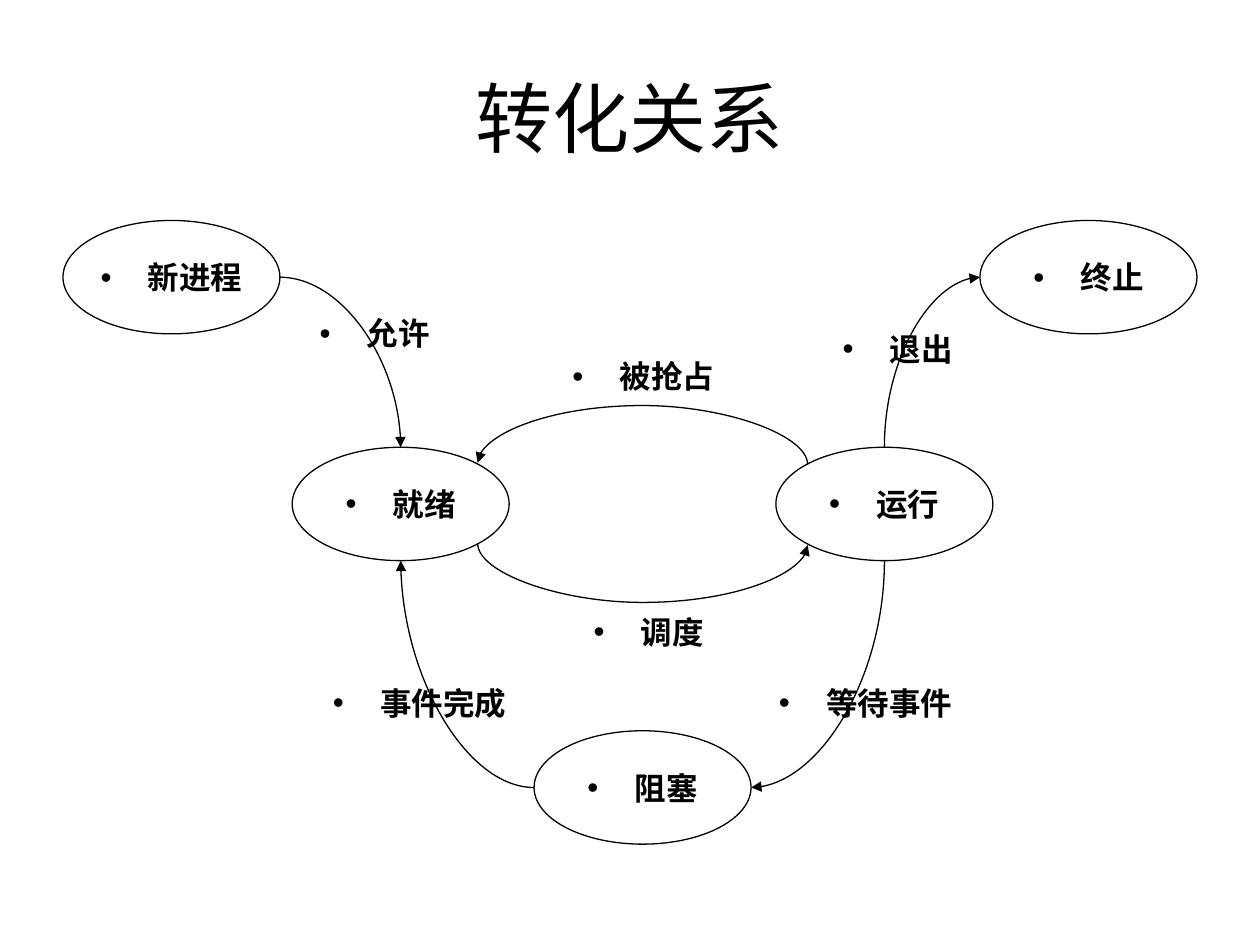
"""Build a slide showing the transitions between process states."""
from lxml import etree
from pptx import Presentation
from pptx.dml.color import RGBColor
from pptx.enum import shapes, text
from pptx.oxml import ns
from pptx.util import Pt

COLORS = {"ink": "000000"}
INK = RGBColor.from_string(COLORS["ink"])


def write(sp, words, size=18, bold=True, bullet=True, wrap=False):
    tf = sp.text_frame
    tf.word_wrap = wrap
    tf.vertical_anchor = text.MSO_ANCHOR.MIDDLE
    p = tf.paragraphs[0]
    p.alignment = text.PP_ALIGN.CENTER
    r = p.add_run()
    r.text = words
    r.font.name = "Arial"
    r.font.size = Pt(size)
    r.font.bold = bold
    r.font.color.rgb = INK
    if bullet:
        pPr = p._p.get_or_add_pPr()
        pPr.set("marL", str(Pt(27)))
        pPr.set("indent", str(-Pt(27)))
        etree.SubElement(pPr, ns.qn("a:buFont")).set("typeface", "Arial")
        etree.SubElement(pPr, ns.qn("a:buChar")).set("char", "•")


prs = Presentation()
prs.slide_width, prs.slide_height = Pt(720), Pt(540)
s = prs.slides.add_slide(prs.slide_layouts[6])

title = s.shapes.add_textbox(Pt(36), Pt(21.6), Pt(648), Pt(90))
write(title, "转化关系", size=44, bold=False, bullet=False, wrap=True)

STATE_W, STATE_H = 124, 64.8
states = [
    ("新进程", 98, 158.4),
    ("终止", 622, 158.4),
    ("就绪", 229, 288),
    ("运行", 505.4, 288),
    ("阻塞", 367.2, 450),
]
for name, cx, cy in states:
    sp = s.shapes.add_shape(shapes.MSO_SHAPE.OVAL, Pt(cx - STATE_W / 2), Pt(cy - STATE_H / 2),
                            Pt(STATE_W), Pt(STATE_H))
    sp.shadow.inherit = False
    sp.fill.background()
    sp.line.color.rgb = INK
    sp.line.width = Pt(0.75)
    write(sp, name)

BOW = 34
arrows = [
    (160, 158.4, 229, 255.6, 0, None),
    (461.5, 265, 272.9, 265, 270, "flipV"),
    (505.4, 255.6, 560, 158.4, 270, None),
    (272.9, 311, 461.5, 311, 270, "flipH"),
    (305.2, 450, 229, 320.4, 180, None),
    (505.4, 320.4, 429.2, 450, 90, None),
]
for x1, y1, x2, y2, turn, flip in arrows:
    w, h = abs(x2 - x1), max(abs(y2 - y1), 1)
    if turn in (90, 270):
        w, h = h, w
    cx, cy = (x1 + x2) / 2, (y1 + y2) / 2
    arrow = s.shapes.add_connector(shapes.MSO_CONNECTOR.CURVE, Pt(cx - w / 2), Pt(cy - h / 2),
                                   Pt(cx + w / 2), Pt(cy + h / 2))
    arrow.line.color.rgb = INK
    arrow.line.width = Pt(0.75)
    spPr = arrow._element.spPr
    xfrm = spPr.find(ns.qn("a:xfrm"))
    xfrm.set("rot", str(turn * 60000))
    geom = spPr.find(ns.qn("a:prstGeom"))
    if flip:
        xfrm.set(flip, "1")
        gd = etree.SubElement(geom.find(ns.qn("a:avLst")), ns.qn("a:gd"))
        gd.set("name", "adj1")
        gd.set("fmla", f"val {BOW * 100000}")
    else:
        geom.set("prst", "curvedConnector2")
    etree.SubElement(arrow.line._get_or_add_ln(), ns.qn("a:tailEnd")).set("type", "triangle")
    etree.SubElement(spPr, ns.qn("a:effectLst"))

LABEL_W, LABEL_H = 116.6, 32.4
labels = [
    ("允许", 214.2, 190.4),
    ("被抢占", 367.6, 214.9),
    ("退出", 513, 199.1),
    ("调度", 370.7, 361.1),
    ("事件完成", 239.7, 401.4),
    ("等待事件", 494.6, 401.4),
]
for name, cx, cy in labels:
    label = s.shapes.add_textbox(Pt(cx - LABEL_W / 2), Pt(cy - LABEL_H / 2), Pt(LABEL_W), Pt(LABEL_H))
    write(label, name)

prs.save("out.pptx")
